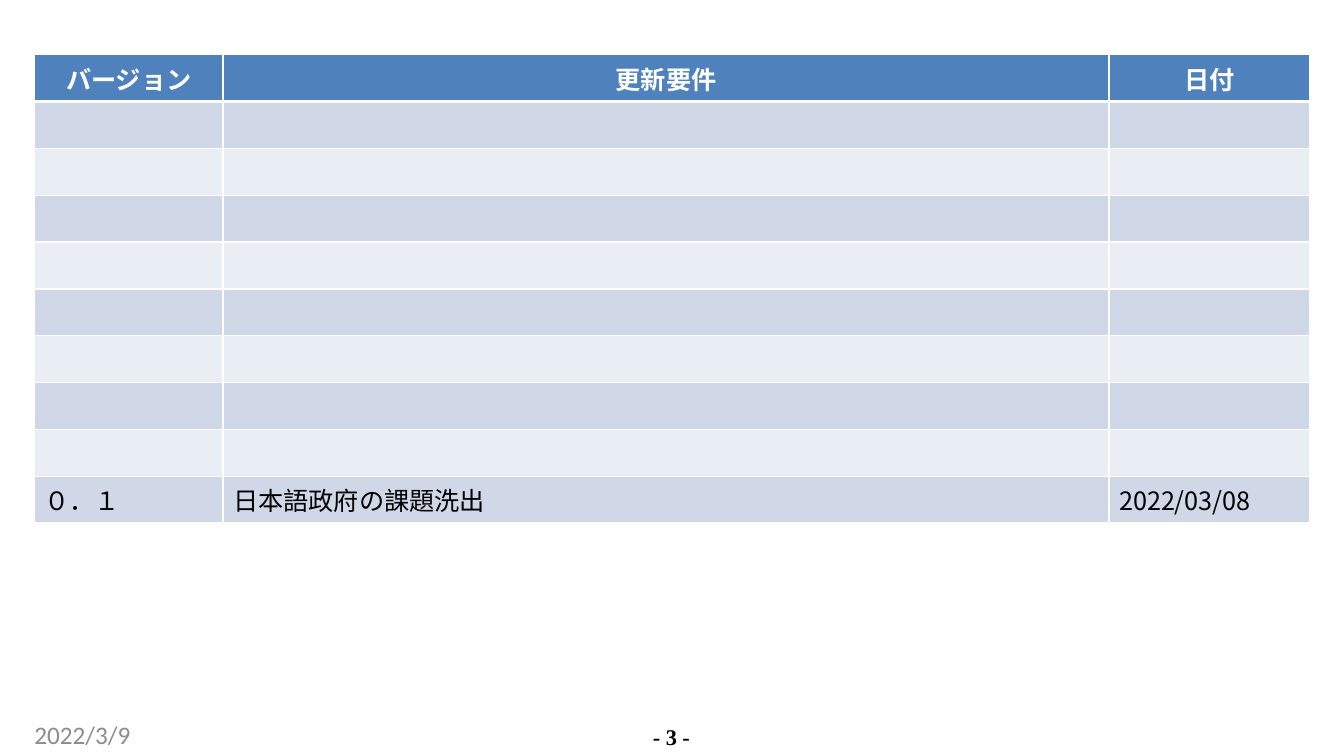
from lxml.etree import SubElement as Sub
from pptx import Presentation
from pptx.dml.color import RGBColor as Rgb
from pptx.enum.text import PP_ALIGN as Align
from pptx.oxml.ns import qn
from pptx.util import Cm, Pt

HEADS = ["バージョン", "更新要件", "日付"]
ENTRY = ["０．１", "日本語政府の課題洗出", "2022/03/08"]
BLANKS = 8
ROWS = [HEADS] + [[""] * len(HEADS)] * BLANKS + [ENTRY]

COLORS = {"head": "4F81BD", "odd": "D0D8E8", "even": "E9EDF4",
          "white": "FFFFFF", "black": "000000", "gray": "8C8C8C"}
WIDTHS = [4.75, 22.33, 5.05]
LEFT, TOP, HIGH = 0.87, 1.38, 1.18

HEAD = {"name": "Noto Sans CJK SC", "size": Pt(18), "bold": True, "color": "white"}
BODY = {**HEAD, "bold": False, "color": "black"}

# text, box (left, top, width, height), font, paragraph format
FOOTERS = [
    ("2022/3/9", (LEFT, 18.13, 7.79, 0.76),
     {"name": "Calibri", "size": Pt(18), "color": "gray"}, {}),
    ("- 3 -", (15.82, 18.26, 2.2, 0.64),
     {"name": "Times New Roman", "size": Pt(16), "bold": True, "color": "black"},
     {"alignment": Align.CENTER, "line_spacing": Pt(18.4)}),
]


def rgb(key):
    return Rgb.from_string(COLORS[key])


def write(par, text, font, form):
    for key, val in form.items():
        setattr(par, key, val)
    run = par.add_run()
    run.text = text
    for key, val in font.items():
        if key == "color":
            run.font.color.rgb = rgb(val)
        else:
            setattr(run.font, key, val)
    Sub(run.font._element, qn("a:ea"), typeface=font["name"])


def edge(cell, base):
    """Draw white borders; base is the width of the lower one in points."""
    props = cell._tc.get_or_add_tcPr()
    for side, width in {"L": 1, "R": 1, "T": 1, "B": base}.items():
        line = Sub(props, qn("a:ln" + side), w=str(Pt(width)))
        fill = Sub(line, qn("a:solidFill"))
        Sub(fill, qn("a:srgbClr"), val=COLORS["white"])


def add_log(slide):
    box = [Cm(n) for n in (LEFT, TOP, sum(WIDTHS), HIGH * len(ROWS))]
    table = slide.shapes.add_table(len(ROWS), len(HEADS), *box).table
    for col, width in zip(table.columns, WIDTHS):
        col.width = Cm(width)
    for r, row in enumerate(ROWS):
        table.rows[r].height = Cm(HIGH)
        shade = "head" if r == 0 else "odd" if r % 2 else "even"
        for c, text in enumerate(row):
            cell = table.cell(r, c)
            edge(cell, 1 if r else 3)
            cell.fill.solid()
            cell.fill.fore_color.rgb = rgb(shade)
            if text:
                form = {} if r else {"alignment": Align.CENTER}
                write(cell.text_frame.paragraphs[0], text, BODY if r else HEAD, form)


def add_note(slide, text, box, font, form):
    frame = slide.shapes.add_textbox(*[Cm(n) for n in box]).text_frame
    frame.word_wrap = True
    for side in ("left", "top", "right", "bottom"):
        setattr(frame, "margin_" + side, 0)
    write(frame.paragraphs[0], text, font, form)


def main():
    deck = Presentation()
    deck.slide_width, deck.slide_height = Cm(33.87), Cm(19.05)
    slide = deck.slides.add_slide(deck.slide_layouts[6])
    for note in FOOTERS:
        add_note(slide, *note)
    add_log(slide)
    deck.save("out.pptx")


if __name__ == "__main__":
    main()
